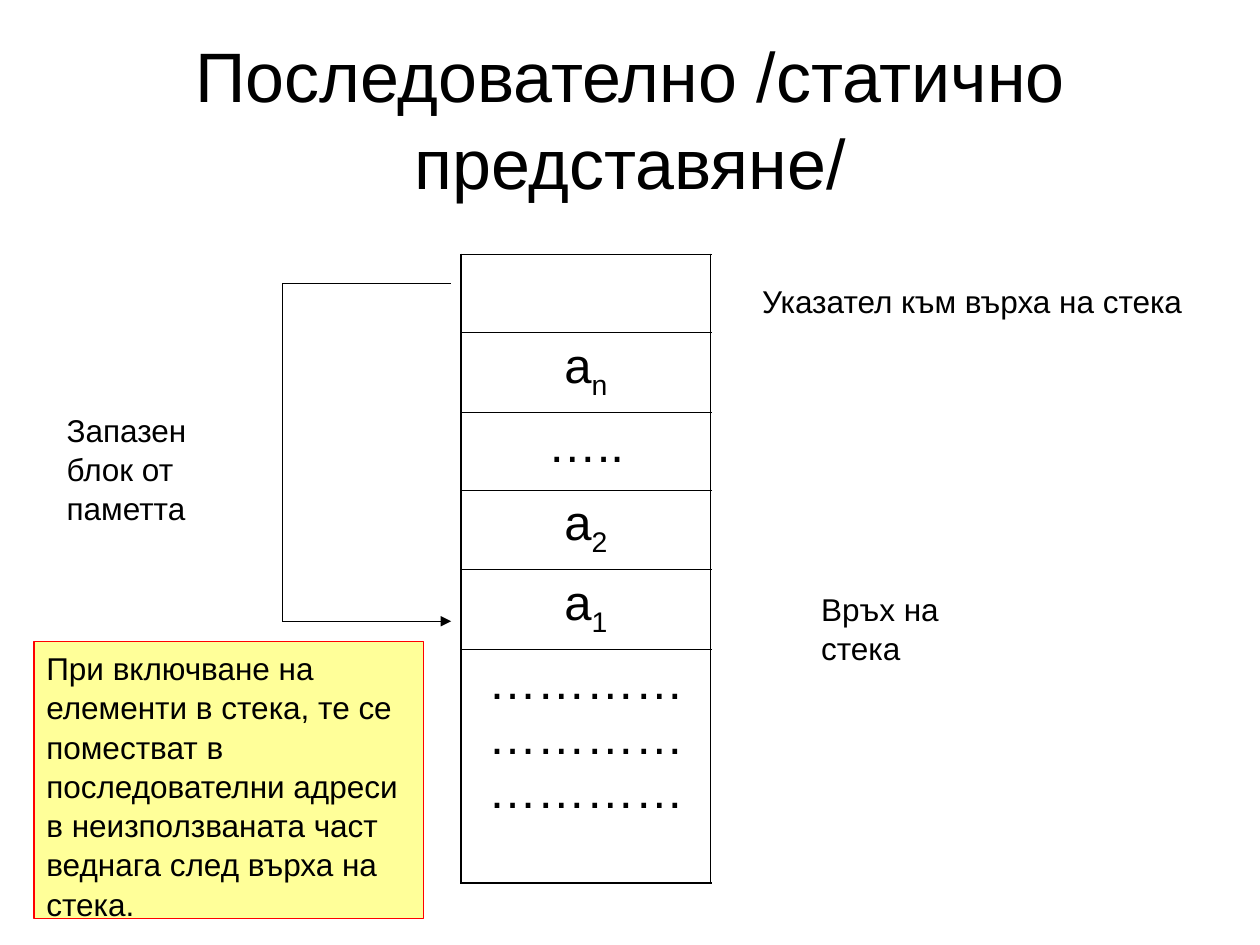
from pptx import Presentation
from pptx.dml.color import RGBColor
from pptx.enum.shapes import MSO_CONNECTOR as CONN, MSO_SHAPE as SHAPE
from pptx.enum.text import MSO_ANCHOR as ANCHOR, PP_ALIGN as ALIGN
from pptx.oxml.ns import qn
from pptx.util import Pt
from lxml.etree import SubElement

COLORS = {"ink": "000000", "paper": "FFFFFF", "note": "FFFF99", "edge": "FF0000"}
FONT = "Arial"
STACK = [[], [("а", 0), ("n", -25)], [("…..", 0)], [("a", 0), ("2", -25)],
         [("a", 0), ("1", -25)], [("…………" * 3, 0)]]


def rgb(name):
    return RGBColor.from_string(COLORS[name])


def add_run(p, text, size, base=0):
    r = p.add_run()
    r.text = text
    r.font.size = Pt(size)
    r.font.name = FONT
    r.font.color.rgb = rgb("ink")
    if base:
        r.font._element.set("baseline", str(base * 1000))


def fill_text(tf, text, size=18, align=ALIGN.LEFT, anchor=ANCHOR.TOP, wrap=True):
    tf.word_wrap = wrap
    tf.vertical_anchor = anchor
    p = tf.paragraphs[0]
    p.alignment = align
    p.line_spacing = 1.04
    add_run(p, text, size)


def add_label(s, box, text, **style):
    sp = s.shapes.add_textbox(*map(Pt, box))
    fill_text(sp.text_frame, text, **style)


def add_note(s, box, text):
    sp = s.shapes.add_shape(SHAPE.RECTANGLE, *map(Pt, box))
    sp.shadow.inherit = False
    sp.fill.solid()
    sp.fill.fore_color.rgb = rgb("note")
    sp.line.color.rgb = rgb("edge")
    sp.line.width = Pt(0.75)
    fill_text(sp.text_frame, text)


def set_border(cell, side, width):
    ln = SubElement(cell._tc.get_or_add_tcPr(), qn(f"a:ln{side}"), w=str(Pt(width)))
    fill = SubElement(ln, qn("a:solidFill"))
    SubElement(fill, qn("a:srgbClr"), val=COLORS["ink"])


def add_stack(s, box, thin=0.45, thick=1.08):
    x, y, w, h = box
    unit = h / (len(STACK) + 2)
    table = s.shapes.add_table(len(STACK), 1, Pt(x), Pt(y), Pt(w), Pt(h)).table
    table.first_row = table.horz_banding = False
    last = len(STACK) - 1
    for i, runs in enumerate(STACK):
        table.rows[i].height = Pt(unit * (3 if i == last else 1))
        cell = table.cell(i, 0)
        edges = {"L": thick, "R": thick, "T": thin if i else thick,
                 "B": thick if i == last else thin}
        for side, width in edges.items():
            set_border(cell, side, width)
        cell.fill.solid()
        cell.fill.fore_color.rgb = rgb("paper")
        p = cell.text_frame.paragraphs[0]
        p.alignment = ALIGN.CENTER
        p.space_before = Pt(7)
        for text, base in runs:
            add_run(p, text, 28, base)


def add_line(s, start, end, arrow=False):
    c = s.shapes.add_connector(CONN.STRAIGHT, *map(Pt, start + end))
    c.line.color.rgb = rgb("ink")
    c.line.width = Pt(0.75)
    if arrow:
        SubElement(c.line._get_or_add_ln(), qn("a:tailEnd"), type="triangle")
    SubElement(c._element.spPr, qn("a:effectLst"))


def add_bracket(s, box):
    x, y, w, h = box
    add_line(s, (x, y), (x, y + h))
    add_line(s, (x, y + h), (x + w, y + h), arrow=True)
    add_line(s, (x, y), (x + w, y))


def main():
    prs = Presentation()
    prs.slide_width, prs.slide_height = Pt(720), Pt(540)
    s = prs.slides.add_slide(prs.slide_layouts[6])
    add_label(s, (36, 21.6, 648, 90), "Последователно /статично представяне/",
              size=40, align=ALIGN.CENTER, anchor=ANCHOR.MIDDLE)
    add_stack(s, (263.5, 145.4, 142.6, 356.6))
    add_label(s, (428.4, 157, 257, 29), "Указател към върха на стека", wrap=False)
    add_label(s, (462.2, 332.6, 122, 50), "Връх на стека")
    add_bracket(s, (161.3, 162, 96.5, 193))
    add_label(s, (31, 230.4, 113, 72), "Запазен блок от паметта")
    add_note(s, (19.4, 366.5, 222.5, 158.4),
             "При включване на елементи в стека, те се поместват в последователни "
             "адреси в неизползваната част веднага след върха на стека.")
    prs.save("out.pptx")


if __name__ == "__main__":
    main()
